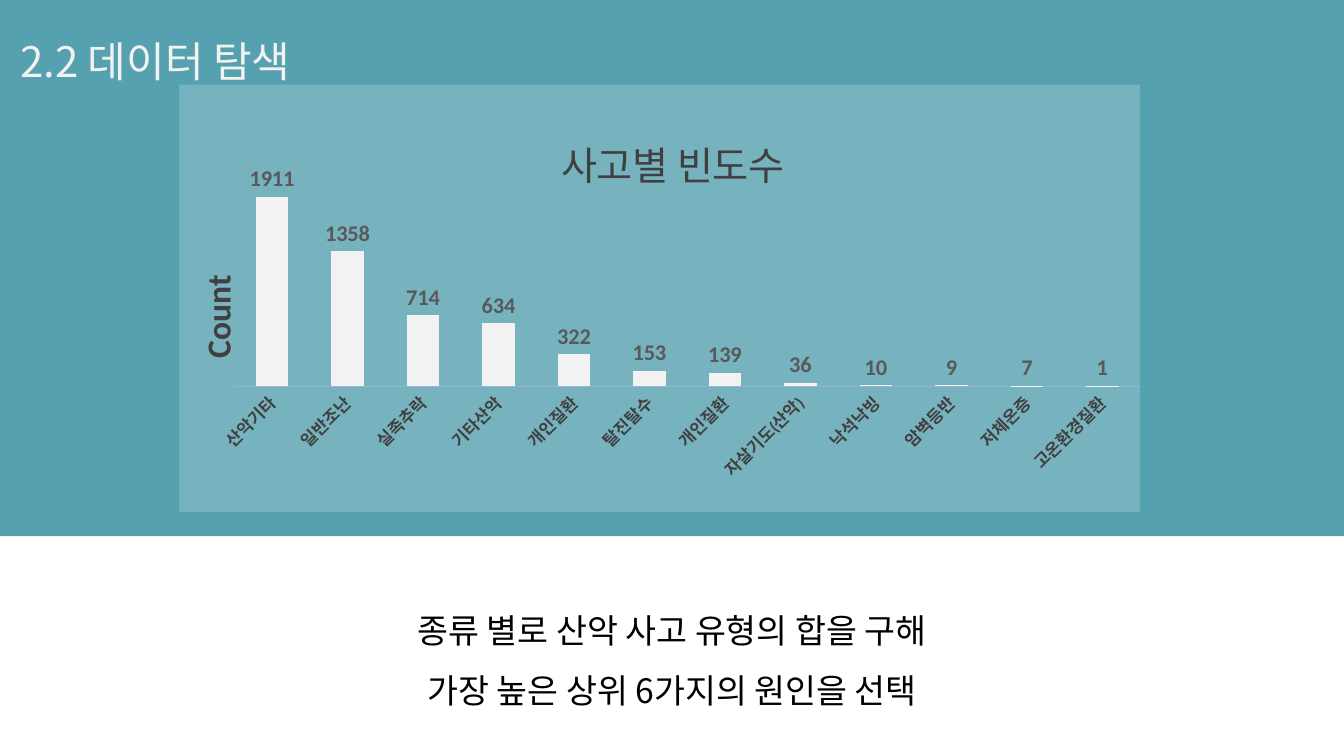
from lxml import etree
from pptx import Presentation
from pptx.chart.data import CategoryChartData
from pptx.dml.color import RGBColor
from pptx.enum.chart import XL_CHART_TYPE as ChartType, XL_LABEL_POSITION as LabelPosition
from pptx.enum.chart import XL_TICK_MARK as TickMark
from pptx.enum.shapes import MSO_SHAPE as Shape
from pptx.enum.text import MSO_ANCHOR as Anchor, MSO_AUTO_SIZE as AutoSize, PP_ALIGN as Align
from pptx.oxml import parse_xml
from pptx.oxml.ns import nsdecls, qn
from pptx.util import Inches, Pt

KOREAN = "Noto Sans CJK KR"
LATIN = "Calibri"
ACCIDENTS = [
    ("산악기타", 1911), ("일반조난", 1358), ("실족추락", 714), ("기타산악", 634),
    ("개인질환", 322), ("탈진탈수", 153), ("개인질환", 139), ("자살기도(산악)", 36),
    ("낙석낙빙", 10), ("암벽등반", 9), ("저체온증", 7), ("고온환경질환", 1),
]


def color(value):
    return RGBColor.from_string(value)


def style_font(font, size, value, name, bold=False):
    font.size = Pt(size)
    font.color.rgb = color(value)
    font.name = name
    font.bold = bold


def add_run(para, text, size, value, name, bold=False):
    span = para.add_run()
    span.text = text
    style_font(span.font, size, value, name, bold)
    east_asian = etree.Element(qn("a:ea"), typeface=name)
    span.font._element.find(qn("a:latin")).addnext(east_asian)


def add_band(page, left, top, width, height, value):
    band = page.shapes.add_shape(Shape.RECTANGLE, left, top, width, height)
    band.shadow.inherit = False
    band.fill.solid()
    band.fill.fore_color.rgb = color(value)
    band.line.fill.background()
    # Behind the placeholders
    page.shapes._spTree.insert(2, band._element)


def fill_placeholder(box, place, lines, size, value, align):
    box.left, box.top, box.width, box.height = [Inches(length) for length in place]
    frame = box.text_frame
    frame.word_wrap = True
    frame.auto_size = AutoSize.SHAPE_TO_FIT_TEXT
    frame.vertical_anchor = Anchor.TOP
    for index, line in enumerate(lines):
        para = frame.add_paragraph() if index else frame.paragraphs[0]
        para.alignment = align
        para.line_spacing = 1.5
        para.space_before = Pt(0)
        properties = para._p.get_or_add_pPr()
        properties.set("marL", "0")
        properties.set("indent", "0")
        etree.SubElement(properties, qn("a:buNone"))
        add_run(para, line, size, value, KOREAN)


def set_layout(element, index, **settings):
    for old in element.findall(qn("c:layout")):
        element.remove(old)
    layout = etree.Element(qn("c:layout"))
    manual = etree.SubElement(layout, qn("c:manualLayout"))
    for tag, value in settings.items():
        etree.SubElement(manual, qn("c:" + tag), val=str(value))
    element.insert(index, layout)


def add_chart_title(title, text, size, name, bold, x, y):
    add_run(title.text_frame.paragraphs[0], text, size, "404040", name, bold)
    set_layout(title._element, 1, xMode="edge", yMode="edge", x=x, y=y)


def add_accident_chart(page, left, top, width, height):
    data = CategoryChartData()
    data.categories = [name for name, count in ACCIDENTS]
    data.add_series("Series 1", [count for name, count in ACCIDENTS])
    chart = page.shapes.add_chart(
        ChartType.COLUMN_CLUSTERED, left, top, width, height, data).chart
    style_font(chart.font, 10, "000000", LATIN)
    chart.has_legend = False

    # Translucent panel and plot position
    space = chart._chartSpace
    space.find(qn("c:chart")).addnext(parse_xml(
        f'<c:spPr {nsdecls("c", "a")}><a:solidFill><a:srgbClr val="FFFFFF">'
        '<a:alpha val="20000"/></a:srgbClr></a:solidFill>'
        '<a:ln><a:noFill/></a:ln></c:spPr>'))
    set_layout(space.find(".//" + qn("c:plotArea")), 0, layoutTarget="inner",
               xMode="edge", yMode="edge", x=0.057, y=0.125, w=0.943, h=0.581)

    # Titles
    chart.has_title = True
    add_chart_title(chart.chart_title, "사고별 빈도수", 28, KOREAN, False, 0.39, 0.09)
    values = chart.value_axis
    values.has_title = True
    add_chart_title(values.axis_title, "Count", 24, LATIN, True, 0.01, 0.43)
    turned = values.axis_title.text_frame._txBody.find(qn("a:bodyPr"))
    turned.set("rot", "-5400000")
    turned.set("vert", "horz")

    # Axes
    values.minimum_scale, values.maximum_scale = 0, 2500
    values.has_major_gridlines = False
    values.visible = False
    categories = chart.category_axis
    categories.major_tick_mark = TickMark.NONE
    categories.format.line.color.rgb = color("95B3D7")
    categories.format.line.width = Pt(0.25)
    style_font(categories.tick_labels.font, 12, "404040", LATIN, True)
    categories._element.find(qn("c:txPr")).find(qn("a:bodyPr")).set("rot", "-2700000")

    # Columns and their labels
    plot = chart.plots[0]
    plot.vary_by_categories = False
    plot.gap_width = 133
    plot.overlap = 4
    columns = plot.series[0]
    columns.format.fill.solid()
    columns.format.fill.fore_color.rgb = color("F2F2F2")
    labels = columns.data_labels
    labels.show_value = True
    labels.position = LabelPosition.OUTSIDE_END
    style_font(labels.font, 16, "595959", LATIN, True)


def main():
    deck = Presentation()
    deck.slide_width, deck.slide_height = Inches(13.33), Inches(7.5)
    page = deck.slides.add_slide(deck.slide_layouts[1])
    add_band(page, 0, 0, deck.slide_width, Inches(5.32), "56A1B0")
    fill_placeholder(page.shapes.title, (0.1, 0.05, 5.35, 0.8),
                     ["2.2 데이터 탐색"], 30, "F2F2F2", Align.LEFT)
    fill_placeholder(page.placeholders[1], (2.53, 5.8, 8.27, 1.31),
                     ["종류 별로 산악 사고 유형의 합을 구해", "가장 높은 상위 6가지의 원인을 선택"],
                     24, "000000", Align.CENTER)
    add_accident_chart(page, Inches(1.78), Inches(0.84), Inches(9.53), Inches(4.24))
    deck.save("out.pptx")


if __name__ == "__main__":
    main()
